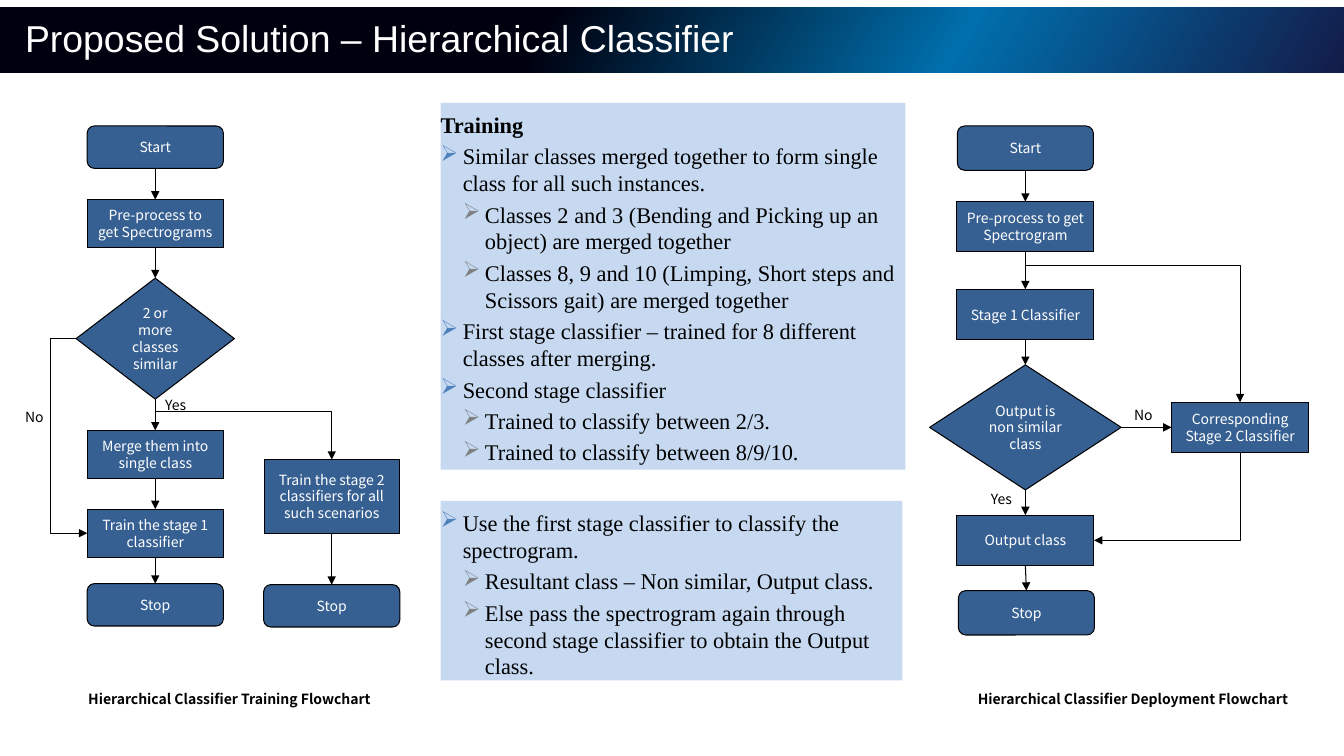
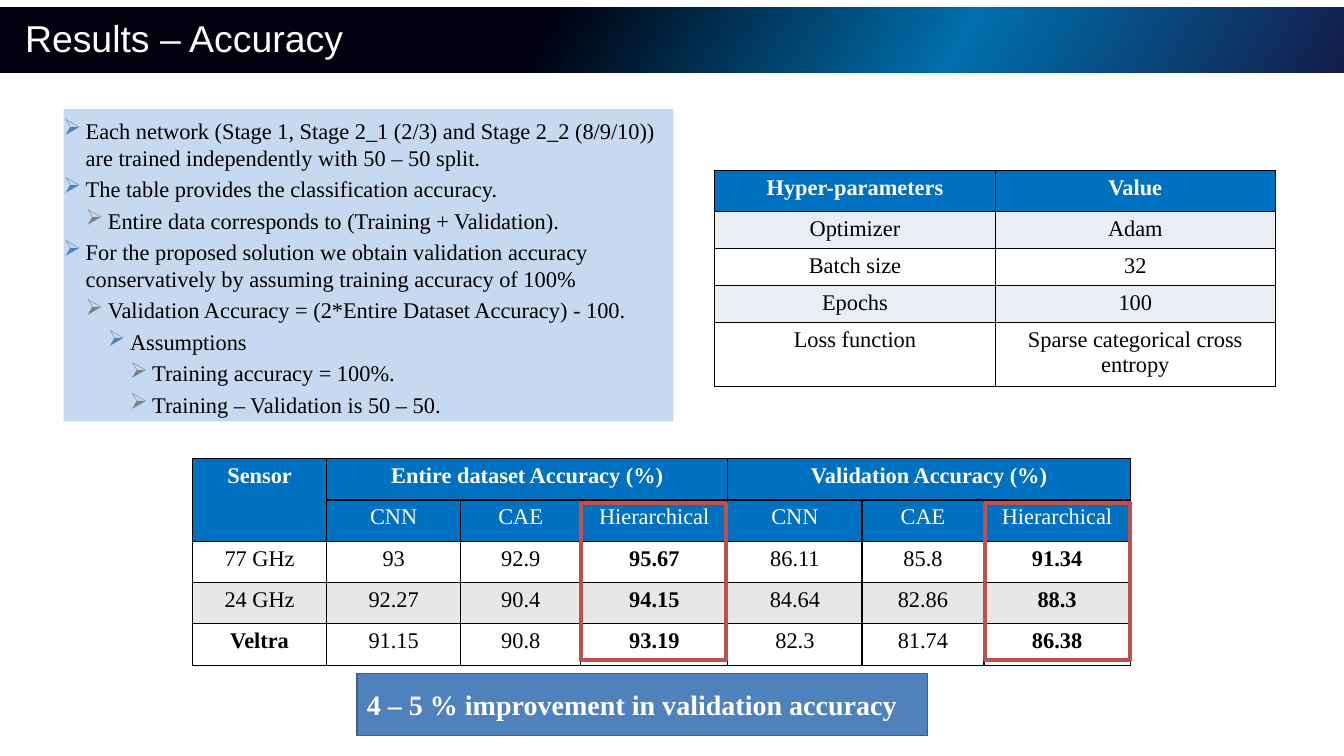
"""Build two slides on a hierarchical classifier: flowcharts and accuracy results."""
from copy import deepcopy

from lxml.etree import SubElement
from pptx import Presentation
from pptx.dml.color import RGBColor
from pptx.enum.shapes import MSO_CONNECTOR as Link, MSO_SHAPE as Shape
from pptx.enum.text import MSO_ANCHOR as Anchor, PP_ALIGN as Align
from pptx.oxml import parse_xml
from pptx.oxml.ns import nsdecls, qn
from pptx.util import Emu, Inches, Pt

BLACK = RGBColor(0x00, 0x00, 0x00)
WHITE = RGBColor(0xFF, 0xFF, 0xFF)
NODE_BLUE = RGBColor(0x37, 0x60, 0x92)
PANEL_BLUE = RGBColor(0xC6, 0xD9, 0xF1)
ACCENT_BLUE = RGBColor(0x4F, 0x81, 0xBD)
CALLOUT_EDGE = RGBColor(0x3A, 0x5F, 0x8C)
HEADER_BLUE = RGBColor(0x00, 0x70, 0xC0)
BULLET_GREY = RGBColor(0x80, 0x80, 0x80)
STRIPE_GREY = RGBColor(0xE7, 0xE7, 0xE7)
STRIPE_BLUE = RGBColor(0xE9, 0xED, 0xF4)
HIGHLIGHT_RED = RGBColor(0xC0, 0x50, 0x4D)
BAND_STOPS = [(0.40, RGBColor(0x00, 0x00, 0x0E)), (0.71, RGBColor(0x00, 0x6F, 0xAC)),
              (1.0, RGBColor(0x13, 0x1C, 0x49))]
TITLE_FONT, BODY_FONT, CHART_FONT = "Arial", "Times New Roman", "Noto Sans CJK KR"
INDENT = 0.22
TOP, LEFT, BOTTOM, RIGHT = range(4)

TRAINING_NOTES = [
    (None, "Training"),
    (0, "Similar classes merged together to form single class for all such instances."),
    (1, "Classes 2 and 3 (Bending and Picking up an object) are merged together"),
    (1, "Classes 8, 9 and 10 (Limping, Short steps and Scissors gait) are merged together"),
    (0, "First stage classifier – trained for 8 different classes after merging."),
    (0, "Second stage classifier"),
    (1, "Trained to classify between 2/3."),
    (1, "Trained to classify between 8/9/10."),
]
DEPLOYMENT_NOTES = [
    (0, "Use the first stage classifier to classify the spectrogram."),
    (1, "Resultant class – Non similar, Output class."),
    (1, "Else pass the spectrogram again through second stage classifier to obtain "
        "the Output class."),
]
ACCURACY_NOTES = [
    (0, "Each network (Stage 1, Stage 2_1 (2/3) and Stage 2_2 (8/9/10)) are trained "
        "independently with 50 – 50 split."),
    (0, "The table provides the classification accuracy."),
    (1, "Entire data corresponds to (Training + Validation)."),
    (0, "For the proposed solution we obtain validation accuracy conservatively by "
        "assuming training accuracy of 100%"),
    (1, "Validation Accuracy = (2*Entire Dataset Accuracy) - 100."),
    (2, "Assumptions"),
    (3, "Training accuracy = 100%."),
    (3, "Training – Validation is 50 – 50."),
]

TRAINING_CHART = {
    "sizes": {"terminal": (Shape.ROUNDED_RECTANGLE, 1.35, 0.42),
              "process": (Shape.RECTANGLE, 1.35, 0.48),
              "tall": (Shape.RECTANGLE, 1.34, 0.73),
              "decision": (Shape.DIAMOND, 1.57, 1.2)},
    "nodes": {"start": ("terminal", 1.54, 1.25, "Start"),
              "prepare": ("process", 1.54, 1.98, "Pre-process to get Spectrograms"),
              "similar": ("decision", 1.54, 2.76, "2 or more classes similar"),
              "merge": ("process", 1.54, 4.27, "Merge them into single class"),
              "stage 2": ("tall", 3.29, 4.56,
                          "Train the stage 2 classifiers for all such scenarios"),
              "stage 1": ("process", 1.54, 5.05, "Train the stage 1 classifier"),
              "stop": ("terminal", 1.54, 5.79, "Stop"),
              "stop 2": ("terminal", 3.29, 5.8, "Stop")},
    "down": [("start", "prepare"), ("prepare", "similar"), ("similar", "merge"),
             ("merge", "stage 1"), ("stage 1", "stop"), ("stage 2", "stop 2")],
    "across": [],
    "bent": [("similar", LEFT, "stage 1", LEFT, -0.25, 0.75),
             ("similar", BOTTOM, "stage 2", TOP, 0.12, 0.75)],
    "labels": [("No", 0.15, 4.0, 0.44), ("Yes", 1.54, 3.88, 0.5)],
    "caption": ("Hierarchical Classifier Training Flowchart", 0.76, 6.8, 3.03),
}
DEPLOYMENT_CHART = {
    "sizes": {"terminal": (Shape.ROUNDED_RECTANGLE, 1.35, 0.44),
              "process": (Shape.RECTANGLE, 1.36, 0.5),
              "decision": (Shape.DIAMOND, 1.9, 1.24)},
    "nodes": {"start": ("terminal", 10.17, 1.25, "Start"),
              "prepare": ("process", 10.17, 2.0, "Pre-process to get Spectrogram"),
              "stage 1": ("process", 10.17, 2.87, "Stage 1 Classifier"),
              "check": ("decision", 10.17, 3.62, "Output is non similar class"),
              "stage 2": ("process", 12.3, 3.99, "Corresponding Stage 2 Classifier"),
              "output": ("process", 10.17, 5.11, "Output class"),
              "stop": ("terminal", 10.18, 5.86, "Stop")},
    "down": [("start", "prepare"), ("prepare", "stage 1"), ("stage 1", "check"),
             ("check", "output"), ("output", "stop")],
    "across": [("check", "stage 2")],
    "bent": [("stage 2", BOTTOM, "output", RIGHT, None, 0.75),
             ("prepare", BOTTOM, "stage 2", TOP, 0.13, 0.5)],
    "labels": [("No", 11.15, 3.98, 0.47), ("Yes", 9.73, 4.82, 0.53)],
    "caption": ("Hierarchical Classifier Deployment Flowchart", 9.57, 6.8, 3.33),
}

ACCURACY_ROWS = [
    ("Sensor", "Entire dataset Accuracy (%)", "", "", "Validation Accuracy (%)", "", ""),
    ("", "CNN", "CAE", "Hierarchical", "CNN", "CAE", "Hierarchical"),
    ("77 GHz", "93", "92.9", "95.67", "86.11", "85.8", "91.34"),
    ("24 GHz", "92.27", "90.4", "94.15", "84.64", "82.86", "88.3"),
    ("Veltra", "91.15", "90.8", "93.19", "82.3", "81.74", "86.38"),
]
ACCURACY_MERGES = [((0, 0), (1, 0)), ((0, 1), (0, 3)), ((0, 4), (0, 6))]
ACCURACY_BOLD = {(row, column) for row in (2, 3, 4) for column in (3, 6)} | {(4, 0)}
PARAMETER_ROWS = [
    ("Hyper-parameters", "Value"),
    ("Optimizer", "Adam"),
    ("Batch size", "32"),
    ("Epochs", "100"),
    ("Loss function", "Sparse categorical cross entropy"),
]


def style_text(paragraph, font_name, size, color, bold=False, align=Align.LEFT):
    paragraph.alignment = align
    for run in paragraph.runs:
        run.font.name, run.font.size, run.font.bold = font_name, Pt(size), bold
        run.font.color.rgb = color


def add_box(slide, kind, box, fill=None, line=None, width=0.75):
    shape = slide.shapes.add_shape(kind, *map(Inches, box))
    shape.shadow.inherit = False
    if fill is None:
        shape.fill.background()
    else:
        shape.fill.solid()
        shape.fill.fore_color.rgb = fill
    if line is None:
        shape.line.fill.background()
    else:
        shape.line.color.rgb = line
        shape.line.width = Pt(width)
    return shape


def add_label(slide, text, box, font_name, size, color, bold=False, align=Align.LEFT):
    frame = slide.shapes.add_textbox(*map(Inches, box)).text_frame
    frame.word_wrap = True
    frame.text = text
    style_text(frame.paragraphs[0], font_name, size, color, bold, align)
    return frame


def add_titled_slide(presentation, title):
    slide = presentation.slides.add_slide(presentation.slide_layouts[6])
    band = add_box(slide, Shape.RECTANGLE, (0, 0.07, 13.33, 0.65), WHITE)
    band.fill.gradient()
    band.fill.gradient_angle = 330
    stop_list = band._element.spPr.find(qn("a:gradFill")).find(qn("a:gsLst"))
    stop_list.append(deepcopy(stop_list[0]))
    for stop, (position, color) in zip(band.fill.gradient_stops, BAND_STOPS):
        stop.position = position
        stop.color.rgb = color
    frame = add_label(slide, title, (0.15, 0.12, 11.94, 0.56), TITLE_FONT, 26.7, WHITE)
    frame.vertical_anchor = Anchor.MIDDLE
    frame.paragraphs[0].line_spacing = 0.9
    return slide


def add_notes_panel(slide, box, notes):
    frame = add_box(slide, Shape.RECTANGLE, box, PANEL_BLUE).text_frame
    frame.word_wrap = True
    frame.vertical_anchor = Anchor.TOP
    frame.margin_left, frame.margin_right = 0, Inches(0.09)
    frame.margin_top, frame.margin_bottom = Inches(0.08), Inches(0.04)
    for index, (level, text) in enumerate(notes):
        paragraph = frame.add_paragraph() if index else frame.paragraphs[0]
        paragraph.text = text
        if level is not None:
            paragraph.level = level
            properties = paragraph._p.get_or_add_pPr()
            properties.set("marL", str(Inches(INDENT * (level + 1))))
            properties.set("indent", str(-Inches(INDENT)))
            bullet_color = SubElement(properties, qn("a:buClr"))
            color = BULLET_GREY if level % 2 else ACCENT_BLUE
            SubElement(bullet_color, qn("a:srgbClr")).set("val", str(color))
            SubElement(properties, qn("a:buChar")).set("char", "➢")
        if index:
            paragraph.space_before = Pt(3.3)
        style_text(paragraph, BODY_FONT, 16, BLACK, bold=level is None)


def add_arrow(slide, kind, first, first_site, last, last_site, width=0.75):
    connector = slide.shapes.add_connector(kind, 0, 0, 0, 0)
    connector.begin_connect(first, first_site)
    connector.end_connect(last, last_site)
    connector.line.color.rgb = BLACK
    connector.line.width = Pt(width)
    SubElement(connector.line._get_or_add_ln(), qn("a:tailEnd")).set("type", "triangle")
    SubElement(connector._element.spPr, qn("a:effectLst"))
    return connector


def bend(connector, vertical, offset):
    across = connector.end_x - connector.begin_x
    down = connector.end_y - connector.begin_y
    properties = connector._element.spPr
    geometry = properties.find(qn("a:prstGeom"))
    if vertical:
        middle_x = (connector.begin_x + connector.end_x) // 2
        middle_y = (connector.begin_y + connector.end_y) // 2
        transform = properties.find(qn("a:xfrm"))
        transform.attrib.clear()
        transform.set("rot", "5400000")
        if across > 0:
            transform.set("flipV", "1")
        connector.left, connector.top = Emu(middle_x - down // 2), Emu(middle_y - abs(across) // 2)
        connector.width, connector.height = Emu(down), Emu(abs(across))
    if offset is None:
        geometry.set("prst", "bentConnector2")
    else:
        ratio = round(Inches(offset) / (down if vertical else across) * 100000)
        guide = SubElement(geometry.find(qn("a:avLst")), qn("a:gd"))
        guide.set("name", "adj1")
        guide.set("fmla", f"val {ratio}")


def add_flowchart(slide, chart):
    nodes = {}
    for name, (kind, center, top, text) in chart["nodes"].items():
        preset, width, height = chart["sizes"][kind]
        node = add_box(slide, preset, (center - width / 2, top, width, height), NODE_BLUE, BLACK)
        frame = node.text_frame
        frame.text = text
        frame.word_wrap = True
        frame.vertical_anchor = Anchor.MIDDLE
        style_text(frame.paragraphs[0], CHART_FONT, 10, WHITE, align=Align.CENTER)
        nodes[name] = node
    for links, leave, enter in (("down", BOTTOM, TOP), ("across", RIGHT, LEFT)):
        for first, last in chart[links]:
            add_arrow(slide, Link.STRAIGHT, nodes[first], leave, nodes[last], enter)
    for first, leave, last, enter, offset, width in chart["bent"]:
        arrow = add_arrow(slide, Link.ELBOW, nodes[first], leave, nodes[last], enter, width)
        bend(arrow, leave == BOTTOM, offset)
    for text, left, top, width in chart["labels"]:
        add_label(slide, text, (left, top, width, 0.27), CHART_FONT, 10, BLACK)
    text, left, top, width = chart["caption"]
    add_label(slide, text, (left, top, width, 0.27), CHART_FONT, 10, BLACK, True, Align.CENTER)


def add_grid(slide, corner, widths, heights, rows, header_rows, stripes, bold_cells, merges=()):
    size = (sum(widths), sum(heights))
    table = slide.shapes.add_table(len(rows), len(widths), *map(Inches, corner + size)).table
    table.first_row = table.horz_banding = False
    for column, width in zip(table.columns, widths):
        column.width = Inches(width)
    for row, height in zip(table.rows, heights):
        row.height = Inches(height)
    for start, end in merges:
        table.cell(*start).merge(table.cell(*end))
    for r, texts in enumerate(rows):
        header = r < header_rows
        for c, text in enumerate(texts):
            cell = table.cell(r, c)
            for side in "LRTB":
                cell._tc.get_or_add_tcPr().append(parse_xml(
                    f'<a:ln{side} {nsdecls("a")} w="12700"><a:solidFill>'
                    f'<a:srgbClr val="{BLACK}"/></a:solidFill></a:ln{side}>'))
            cell.fill.solid()
            cell.fill.fore_color.rgb = HEADER_BLUE if header else stripes[r % 2]
            if text:
                cell.text = text
                style_text(cell.text_frame.paragraphs[0], BODY_FONT, 16,
                           WHITE if header else BLACK, r == 0 or (r, c) in bold_cells, Align.CENTER)


def main():
    presentation = Presentation()
    presentation.slide_width, presentation.slide_height = Inches(13.33), Inches(7.5)

    slide = add_titled_slide(presentation, "Proposed Solution – Hierarchical Classifier")
    add_notes_panel(slide, (4.37, 1.02, 4.61, 3.64), TRAINING_NOTES)
    add_notes_panel(slide, (4.37, 4.97, 4.58, 1.78), DEPLOYMENT_NOTES)
    for chart in (TRAINING_CHART, DEPLOYMENT_CHART):
        add_flowchart(slide, chart)

    slide = add_titled_slide(presentation, "Results – Accuracy")
    add_notes_panel(slide, (0.63, 1.08, 6.05, 3.1), ACCURACY_NOTES)
    add_grid(slide, (1.91, 4.55), (1.33, 1.33, 1.19, 1.46, 1.33, 1.21, 1.45), (0.41,) * 5,
             ACCURACY_ROWS, 2, (WHITE, STRIPE_GREY), ACCURACY_BOLD, ACCURACY_MERGES)
    add_grid(slide, (7.09, 1.69), (2.78, 2.78), (0.41,) + (0.31,) * 4,
             PARAMETER_ROWS, 1, (WHITE, STRIPE_BLUE), ())
    for left in (5.76, 9.77):
        add_box(slide, Shape.RECTANGLE, (left, 4.99, 1.44, 1.56), line=HIGHLIGHT_RED, width=3)
    callout = add_box(slide, Shape.RECTANGLE, (3.54, 6.68, 5.66, 0.62), ACCENT_BLUE, CALLOUT_EDGE, 1)
    callout.text_frame.text = "4 – 5 % improvement in validation accuracy"
    style_text(callout.text_frame.paragraphs[0], BODY_FONT, 20, WHITE, bold=True)
    presentation.save("out.pptx")


if __name__ == "__main__":
    main()
